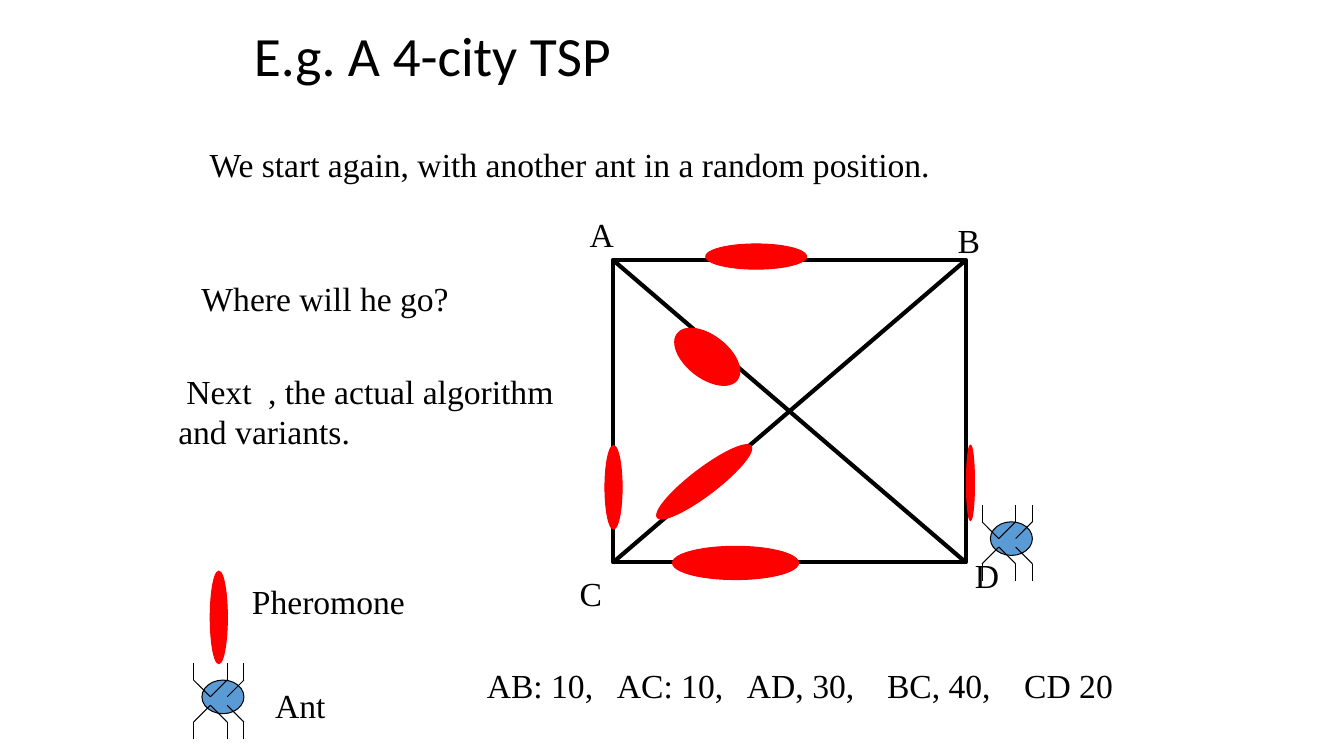
from dataclasses import dataclass

import lxml.etree
import pptx
import pptx.dml.color
import pptx.enum.shapes
import pptx.enum.text
import pptx.oxml.ns
import pptx.util

Inches = pptx.util.Inches
Kind = pptx.enum.shapes.MSO_SHAPE
Anchor = pptx.enum.text.MSO_ANCHOR


@dataclass(frozen=True)
class Theme:
    ink: str = "000000"
    trail: str = "FF0000"
    ant: str = "5B9BD5"
    head: str = "Calibri"
    body: str = "Times New Roman"
    big: float = 39.6
    text: float = 24
    thick: float = 3
    thin: float = 0.75


theme = Theme()


def color(code):
    return pptx.dml.color.RGBColor.from_string(code)


def add_tag(parent, name, **attrs):
    return lxml.etree.SubElement(parent, pptx.oxml.ns.qn(name), **attrs)


def add_text(slide, box, lines, font=theme.body, size=theme.text,
             tabs=(), wrap=False, anchor=Anchor.TOP, space=1):
    frame = slide.shapes.add_textbox(*map(Inches, box)).text_frame
    frame.word_wrap = wrap
    frame.vertical_anchor = anchor
    for i, line in enumerate(lines):
        para = frame.add_paragraph() if i else frame.paragraphs[0]
        if tabs:
            stops = add_tag(para._p.get_or_add_pPr(), "a:tabLst")
            for stop in tabs:
                add_tag(stops, "a:tab", pos=str(Inches(stop)), algn="l")
        para.line_spacing = space
        run = para.add_run()
        run.text = line
        run.font.name = font
        run.font.size = pptx.util.Pt(size)
        run.font.color.rgb = color(theme.ink)


def add_form(shapes, kind, box, fill, line, width, turn=0):
    form = shapes.add_shape(kind, *map(Inches, box))
    form.shadow.inherit = False
    form.rotation = turn
    if fill:
        form.fill.solid()
        form.fill.fore_color.rgb = color(fill)
    else:
        form.fill.background()
    form.line.color.rgb = color(line)
    form.line.width = pptx.util.Pt(width)


def add_line(shapes, start, end, width):
    line = shapes.add_connector(pptx.enum.shapes.MSO_CONNECTOR.STRAIGHT,
                                *map(Inches, (*start, *end)))
    line.line.color.rgb = color(theme.ink)
    line.line.width = pptx.util.Pt(width)
    add_tag(line._element.spPr, "a:effectLst")


def add_trail(slide, box, turn=0):
    add_form(slide.shapes, Kind.OVAL, box, theme.trail, theme.trail,
             theme.thin, turn)


def add_ant(slide, left, top, width=0.5):
    unit = width / 3
    shapes = slide.shapes.add_group_shape().shapes

    def spot(x, y):
        return left + x * unit, top + y * unit

    add_form(shapes, Kind.OVAL, (*spot(0.5, 1), 2.5 * unit, 2 * unit),
             theme.ant, theme.ink, theme.thin)
    for foot, knee, hip in ((0, 1, 2), (4.5, 3.5, 2.5)):
        for out, root in ((3, 2), (2, 1), (0, 1)):
            add_line(shapes, spot(root, hip), spot(out, knee), theme.thin)
            add_line(shapes, spot(out, knee), spot(out, foot), theme.thin)


def add_map(slide, left, top, width, height):
    right, base = left + width, top + height
    add_form(slide.shapes, Kind.RECTANGLE, (left, top, width, height),
             None, theme.ink, theme.thick)
    add_line(slide.shapes, (left, top), (right, base), theme.thick)
    add_line(slide.shapes, (left, base), (right, top), theme.thick)
    for name, x, y in (("A", left - 0.33, top - 0.51),
                       ("B", right - 0.18, top - 0.45),
                       ("C", left - 0.43, base + 0.05),
                       ("D", right - 0.01, base - 0.12)):
        add_text(slide, (x, y, 0.43, 0.5), [name])
    add_ant(slide, right + 0.16, base - 0.57)
    for x, y, wide, high, turn in ((0.59, 2.84, 1.25, 0.33, 0),
                                   (0.92, -0.16, 1, 0.25, 0),
                                   (0.32, 2.07, 1.17, 0.26, 322.7),
                                   (0.56, 0.75, 0.75, 0.42, 37.8),
                                   (3.17, 2.17, 0.75, 0.08, 90),
                                   (-0.41, 2.17, 0.83, 0.17, 90)):
        add_trail(slide, (left + x, top + y, wide, high), turn)


def add_key(slide, left, top):
    add_trail(slide, (left - 0.21, top + 0.38, 0.92, 0.17), 90)
    add_text(slide, (left + 0.48, top + 0.05, 1.72, 0.5), ["Pheromone"])
    add_ant(slide, left, top + 0.92)
    add_text(slide, (left + 0.71, top + 1.09, 0.7, 0.5), ["Ant"])


def add_notes(slide, left, top):
    add_text(slide, (left + 0.31, top, 7.37, 0.5),
             ["We start again, with another ant in a random position."])
    add_text(slide, (left + 0.23, top + 1.33, 2.68, 0.5),
             ["Where will he go?"])
    add_text(slide, (left, top + 2.25, 4.2, 0.91),
             ["\tNext\t, the actual algorithm", "and variants."],
             tabs=(0.08, 0.89), wrap=True)


def add_costs(slide, left, top):
    add_text(slide, (left, top, 7.2, 0.5),
             ["AB: 10,\tAC: 10,\tAD, 30,\tBC, 40,\tCD 20"],
             tabs=(1.29, 2.58, 3.97, 5.33), wrap=True)


def main():
    deck = pptx.Presentation()
    deck.slide_width, deck.slide_height = Inches(13.33), Inches(7.5)
    slide = deck.slides.add_slide(deck.slide_layouts[6])
    add_text(slide, (2.42, 0.25, 8.5, 0.67), ["E.g. A 4-city TSP"],
             theme.head, theme.big, wrap=True, anchor=Anchor.MIDDLE, space=0.9)
    add_map(slide, 6.08, 2.58, 3.5, 3)
    add_key(slide, 1.92, 5.66)
    add_costs(slide, 4.73, 6.55)
    add_notes(slide, 1.67, 1.38)
    deck.save("out.pptx")


if __name__ == "__main__":
    main()
